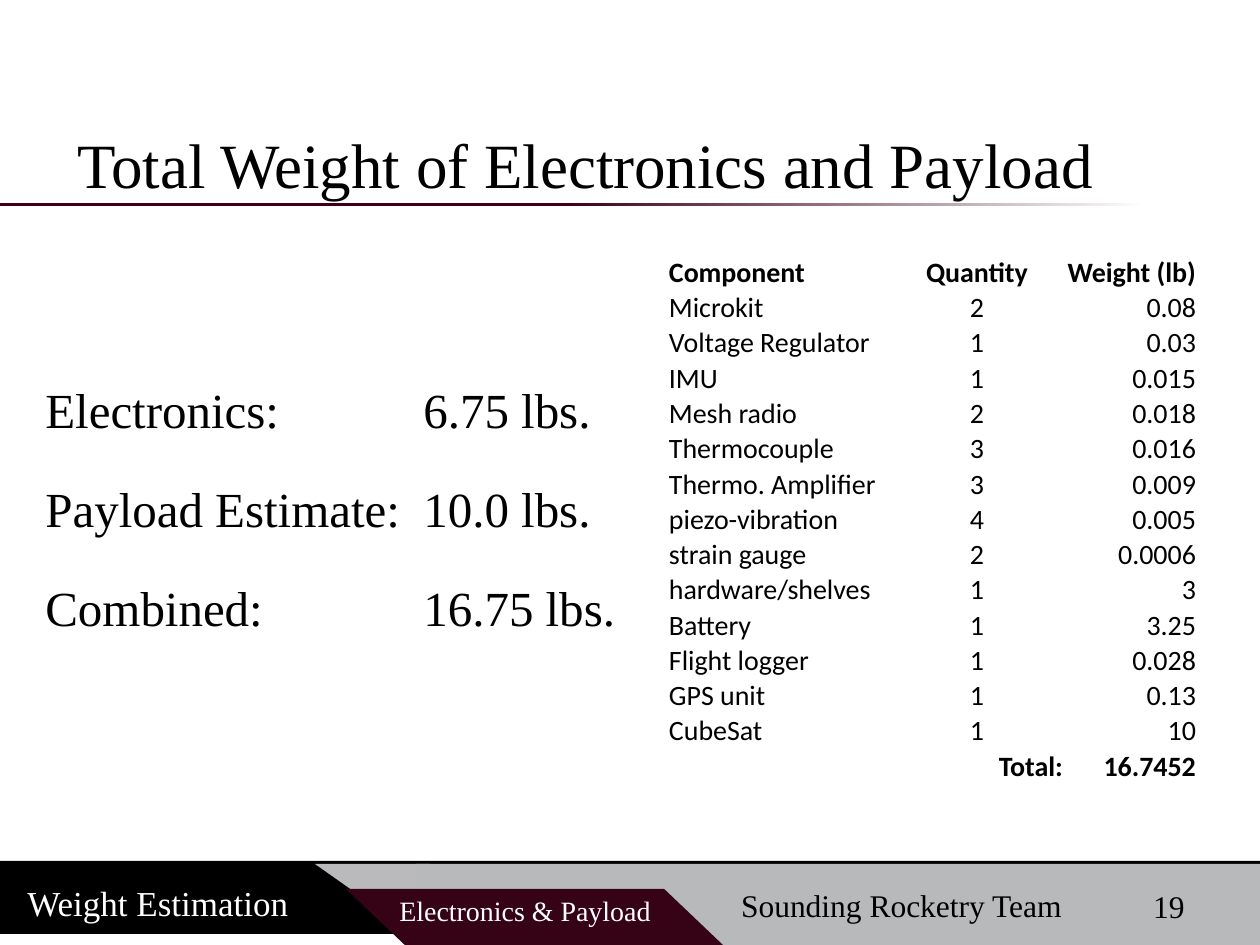
"""Build the slide on the total weight of electronics and payload."""
from dataclasses import dataclass

from lxml.etree import SubElement as Sub
from pptx import Presentation
from pptx.dml.color import RGBColor as Rgb
from pptx.enum.shapes import MSO_SHAPE as Geo
from pptx.enum.text import MSO_ANCHOR as Anchor, PP_ALIGN as Align
from pptx.oxml.ns import qn
from pptx.util import Pt

SCALE = 914400 / 126


@dataclass(frozen=True)
class Theme:
    """Colours, fonts and type sizes."""
    black: str = "000000"
    white: str = "FFFFFF"
    rule: str = "3F0017"
    tab: str = "350216"
    wedge: str = "BABABC"
    band: str = "B8B9BB"
    serif: str = "Times New Roman"
    sans: str = "Calibri"
    head: int = 36
    body: int = 28
    mark: int = 20
    foot: int = 18
    small: int = 16


def px(n):
    """Turn pixels into EMU."""
    return round(n * SCALE)


class Deck:
    """Hold the theme and the current slide."""

    def __init__(self, theme):
        """Start a file with one title-only slide."""
        self.theme = theme
        self.file = Presentation()
        self.file.slide_width, self.file.slide_height = px(1260), px(945)
        self.slide = self.file.slides.add_slide(self.file.slide_layouts[5])

    def style(self, para, size, color=None, face=None, bold=False):
        """Set the font of a paragraph."""
        font = para.font
        font.size, font.bold = Pt(size), bold
        font.name = face or self.theme.serif
        font.color.rgb = Rgb.from_string(color or self.theme.black)

    def shape(self, kind, box, color):
        """Add a plain filled shape."""
        shape = self.slide.shapes.add_shape(kind, *map(px, box))
        shape.shadow.inherit = False
        shape.line.fill.background()
        shape.fill.solid()
        shape.fill.fore_color.rgb = Rgb.from_string(color)
        return shape

    def fade(self, box, color):
        """Add a rule that fades to white on the right."""
        fill = self.shape(Geo.RECTANGLE, box, color).fill
        fill.gradient()
        fill.gradient_angle = 0
        ends = ((0.45, color), (0.91, self.theme.white))
        for stop, (place, tone) in zip(fill.gradient_stops, ends):
            stop.position = place
            stop.color.rgb = Rgb.from_string(tone)

    def title(self, text, box):
        """Place the title above the shapes drawn so far."""
        title = self.slide.shapes.title
        title.left, title.top, title.width, title.height = map(px, box)
        self.slide.shapes._spTree.append(title._element)
        title.text_frame.vertical_anchor = Anchor.MIDDLE
        para = title.text_frame.paragraphs[0]
        para.text, para.alignment, para.line_spacing = text, Align.RIGHT, 0.9
        self.style(para, self.theme.head)

    def text(self, lines, box, size, color=None, align=Align.LEFT,
             anchor=Anchor.TOP, lead=0.9, gap=0, stop=0):
        """Add a text box with one paragraph a line."""
        frame = self.slide.shapes.add_textbox(*map(px, box)).text_frame
        frame.word_wrap, frame.vertical_anchor = True, anchor
        for i, line in enumerate(lines):
            para = frame.add_paragraph() if i else frame.paragraphs[0]
            para.text, para.alignment, para.line_spacing = line, align, lead
            if i:
                para.space_before = Pt(gap)
            if stop:
                tabs = Sub(para._p.get_or_add_pPr(), qn("a:tabLst"))
                Sub(tabs, qn("a:tab"), pos=str(px(stop)), algn="l")
            self.style(para, size, color)

    def table(self, rows, spot, cols, high, top):
        """Add a plain table whose first and last rows are bold."""
        last = len(rows) - 1
        size = sum(cols), top + high * last
        grid = self.slide.shapes.add_table(
            len(rows), len(cols), *map(px, (*spot, *size))).table
        grid.first_row = grid.horz_banding = False
        for col, wide in zip(grid.columns, cols):
            col.width = px(wide)
        for r, row in enumerate(rows):
            grid.rows[r].height = px(high if r else top)
            for c, word in enumerate(row):
                cell = grid.cell(r, c)
                cell.fill.background()
                cell.vertical_anchor = Anchor.BOTTOM
                cell.margin_left = cell.margin_right = px(1)
                cell.margin_top, cell.margin_bottom = px(1), 0
                para = cell.text_frame.paragraphs[0]
                para.text = word
                mid = Align.RIGHT if r == last else Align.CENTER
                para.alignment = (Align.LEFT, mid, Align.RIGHT)[c]
                self.style(para, self.theme.small, face=self.theme.sans,
                           bold=r in (0, last))


PARTS = [
    ("Component", "Quantity", "Weight (lb)"),
    ("Microkit", "2", "0.08"),
    ("Voltage Regulator", "1", "0.03"),
    ("IMU", "1", "0.015"),
    ("Mesh radio", "2", "0.018"),
    ("Thermocouple", "3", "0.016"),
    ("Thermo. Amplifier", "3", "0.009"),
    ("piezo-vibration", "4", "0.005"),
    ("strain gauge", "2", "0.0006"),
    ("hardware/shelves", "1", "3"),
    ("Battery", "1", "3.25"),
    ("Flight logger", "1", "0.028"),
    ("GPS unit", "1", "0.13"),
    ("CubeSat", "1", "10"),
    ("", "Total:", "16.7452"),
]
SUMS = ["Electronics:\t6.75 lbs.", "Payload Estimate:\t10.0 lbs.",
        "Combined:\t16.75 lbs."]


def main():
    """Draw the slide and save it."""
    look = Theme()
    deck = Deck(look)
    deck.shape(Geo.RECTANGLE, (0, 861, 1260, 73), look.black)
    deck.fade((0, 203, 1260, 3), look.rule)
    wedge = deck.shape(Geo.RIGHT_TRIANGLE, (315, 864, 115, 81), look.wedge)
    wedge.rotation = 180
    deck.shape(Geo.RECTANGLE, (416, 864, 844, 81), look.band)
    tab = deck.shape(Geo.PARALLELOGRAM, (346, 889, 377, 56), look.tab)
    tab.adjustments[0] = 1.05
    tab._element.spPr.xfrm.set("flipV", "1")

    deck.title("Total Weight of Electronics and Payload", (63, 113, 1043, 111))
    deck.table(PARTS, (668, 224), (222, 174, 133), 33, 66)
    deck.text(["19"], (1106, 877, 91, 57), look.foot,
              align=Align.RIGHT, anchor=Anchor.MIDDLE, lead=1)
    deck.text(["Sounding Rocketry Team"], (702, 880, 399, 50), look.foot,
              align=Align.CENTER, anchor=Anchor.MIDDLE, lead=1)
    deck.text(["Weight Estimation"], (15, 880, 294, 53), look.mark, look.white)
    deck.text(["Electronics & Payload"], (387, 891, 307, 53), look.small,
              look.white)
    deck.text(SUMS, (33, 380, 599, 297), look.body, gap=26.4, stop=378)
    deck.file.save("out.pptx")


if __name__ == "__main__":
    main()
